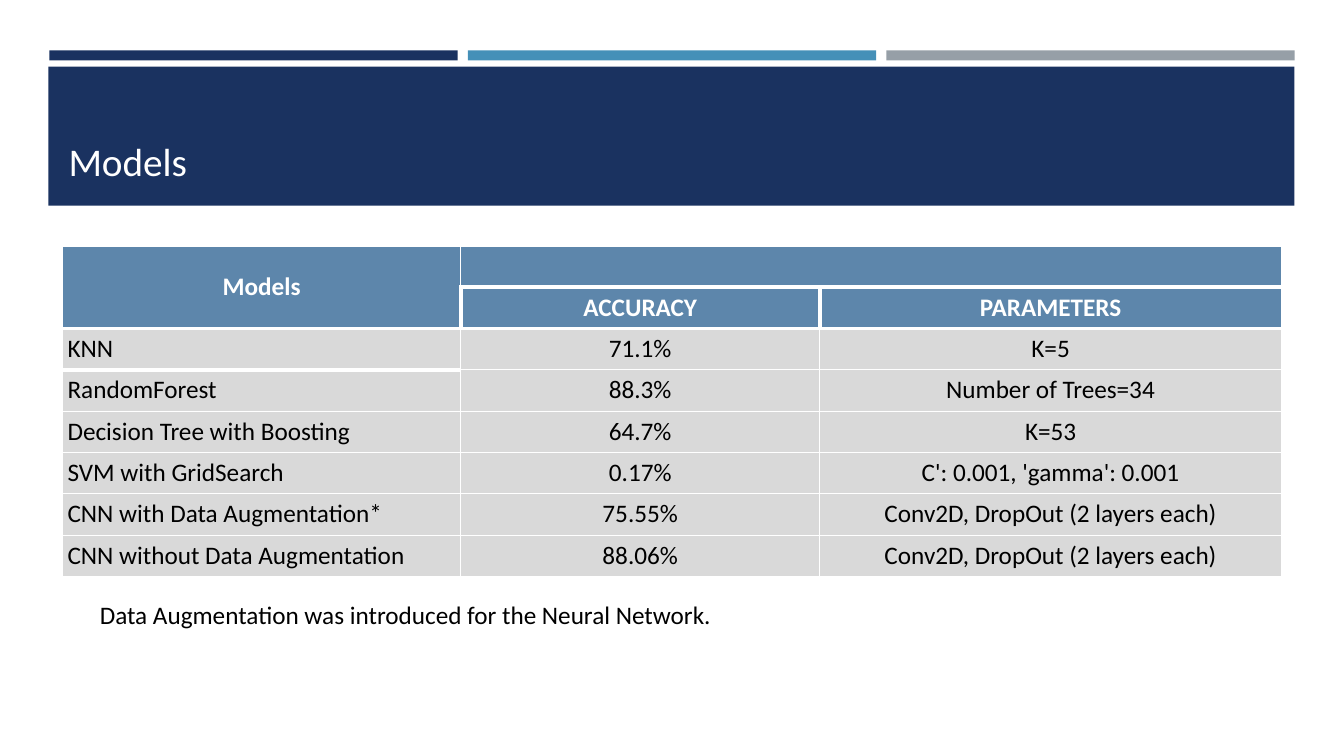
from lxml.etree import SubElement
from pptx import Presentation
from pptx.dml.color import RGBColor
from pptx.enum.shapes import MSO_SHAPE
from pptx.enum.text import MSO_ANCHOR, PP_ALIGN
from pptx.oxml.ns import qn
from pptx.util import Pt

PX = 9144  # 100 px to the inch
COLORS = {
    "navy": "1A3260", "blue": "4590B8", "gray": "969FA7",
    "header": "5D86AB", "body": "D9D9D9", "white": "FFFFFF", "black": "000000",
}
INSET = 5
MARGINS = ("margin_left", "margin_top", "margin_right", "margin_bottom")
COLUMN_WIDTHS = (395, 356, 458)
ROW_HEIGHT = 41
ROWS = [
    ("Models", "", ""),
    ("", "ACCURACY", "PARAMETERS"),
    ("KNN", "71.1%", "K=5"),
    ("RandomForest", "88.3%", "Number of Trees=34"),
    ("Decision Tree with Boosting", "64.7%", "K=53"),
    ("SVM with GridSearch", "0.17%", "C': 0.001, 'gamma': 0.001"),
    ("CNN with Data Augmentation*", "75.55%", "Conv2D, DropOut (2 layers each)"),
    ("CNN without Data Augmentation", "88.06%", "Conv2D, DropOut (2 layers each)"),
]
HEADER_ROWS = 2
# Cells (row, column) with a heavy line below or to the right
HEAVY_BELOW = {(0, 1), (0, 2), (1, 0), (1, 1), (1, 2), (2, 0)}
HEAVY_RIGHT = {(1, 0), (1, 1)}


def emu(*lengths):
    return [length * PX for length in lengths]


def color(name):
    return RGBColor.from_string(COLORS[name])


def set_margins(target):
    for name in MARGINS:
        setattr(target, name, INSET * PX)


def write(frame, text, size, color_name, bold=False, align=PP_ALIGN.LEFT):
    paragraph = frame.paragraphs[0]
    paragraph.alignment = align
    run = paragraph.add_run()
    run.text = text
    formats = {"name": "Calibri", "size": Pt(size), "bold": bold}
    for name, value in formats.items():
        setattr(run.font, name, value)
    run.font.color.rgb = color(color_name)


def add_bar(slide, box, color_name):
    shape = slide.shapes.add_shape(MSO_SHAPE.RECTANGLE, *emu(*box))
    shape.shadow.inherit = False
    shape.fill.solid()
    shape.fill.fore_color.rgb = color(color_name)
    shape.line.fill.background()


def add_text(slide, box, text, size, color_name, anchor=MSO_ANCHOR.TOP):
    frame = slide.shapes.add_textbox(*emu(*box)).text_frame
    frame.word_wrap = True
    frame.vertical_anchor = anchor
    set_margins(frame)
    write(frame, text, size, color_name)


def add_title_band(slide, box):
    left, top, width, height = box
    # Three accent bars over the band
    bar_width, step = 405, 415
    for index, name in enumerate(("navy", "blue", "gray")):
        add_bar(slide, (left + 1 + index * step, top, bar_width, 10), name)
    # Band with the title
    add_bar(slide, (left, top + 16, width, height - 16), "navy")
    add_text(slide, (left + 15, top + 30, width - 30, 108), "Models", 28, "white",
             MSO_ANCHOR.BOTTOM)


def set_borders(cell, row, column):
    heavy = {
        "L": (row, column - 1) in HEAVY_RIGHT,
        "R": (row, column) in HEAVY_RIGHT,
        "T": (row - 1, column) in HEAVY_BELOW,
        "B": (row, column) in HEAVY_BELOW,
    }
    properties = cell._tc.get_or_add_tcPr()
    for side, is_heavy in heavy.items():
        line = SubElement(properties, qn(f"a:ln{side}"), w=str(Pt(3 if is_heavy else 1)))
        fill = SubElement(line, qn("a:solidFill"))
        SubElement(fill, qn("a:srgbClr"), val=COLORS["white"])


def add_model_table(slide, box):
    frame = slide.shapes.add_table(len(ROWS), len(COLUMN_WIDTHS), *emu(*box))
    table = frame.table
    table.first_row = table.horz_banding = False
    for column, width in zip(table.columns, COLUMN_WIDTHS):
        column.width = width * PX
    for row in table.rows:
        row.height = ROW_HEIGHT * PX

    for row, texts in enumerate(ROWS):
        is_header = row < HEADER_ROWS
        for column, text in enumerate(texts):
            cell = table.cell(row, column)
            set_margins(cell)
            set_borders(cell, row, column)
            cell.fill.solid()
            cell.fill.fore_color.rgb = color("header" if is_header else "body")
            if text:
                centered = is_header or column > 0
                write(cell.text_frame, text, 18, "white" if is_header else "black",
                      is_header, PP_ALIGN.CENTER if centered else PP_ALIGN.LEFT)

    # Merged header cells
    table.cell(0, 0).merge(table.cell(1, 0))
    table.cell(0, 1).merge(table.cell(0, 2))
    table.cell(0, 0).vertical_anchor = MSO_ANCHOR.MIDDLE


def main():
    presentation = Presentation()
    presentation.slide_width, presentation.slide_height = emu(1333, 750)
    slide = presentation.slides.add_slide(presentation.slide_layouts[6])
    add_title_band(slide, (48, 50, 1236, 154))
    add_model_table(slide, (62, 244, sum(COLUMN_WIDTHS), ROW_HEIGHT * len(ROWS)))
    add_text(slide, (94, 590, 963, 132),
             "Data Augmentation was introduced for the Neural Network.", 18, "black")
    presentation.save("out.pptx")


if __name__ == "__main__":
    main()
